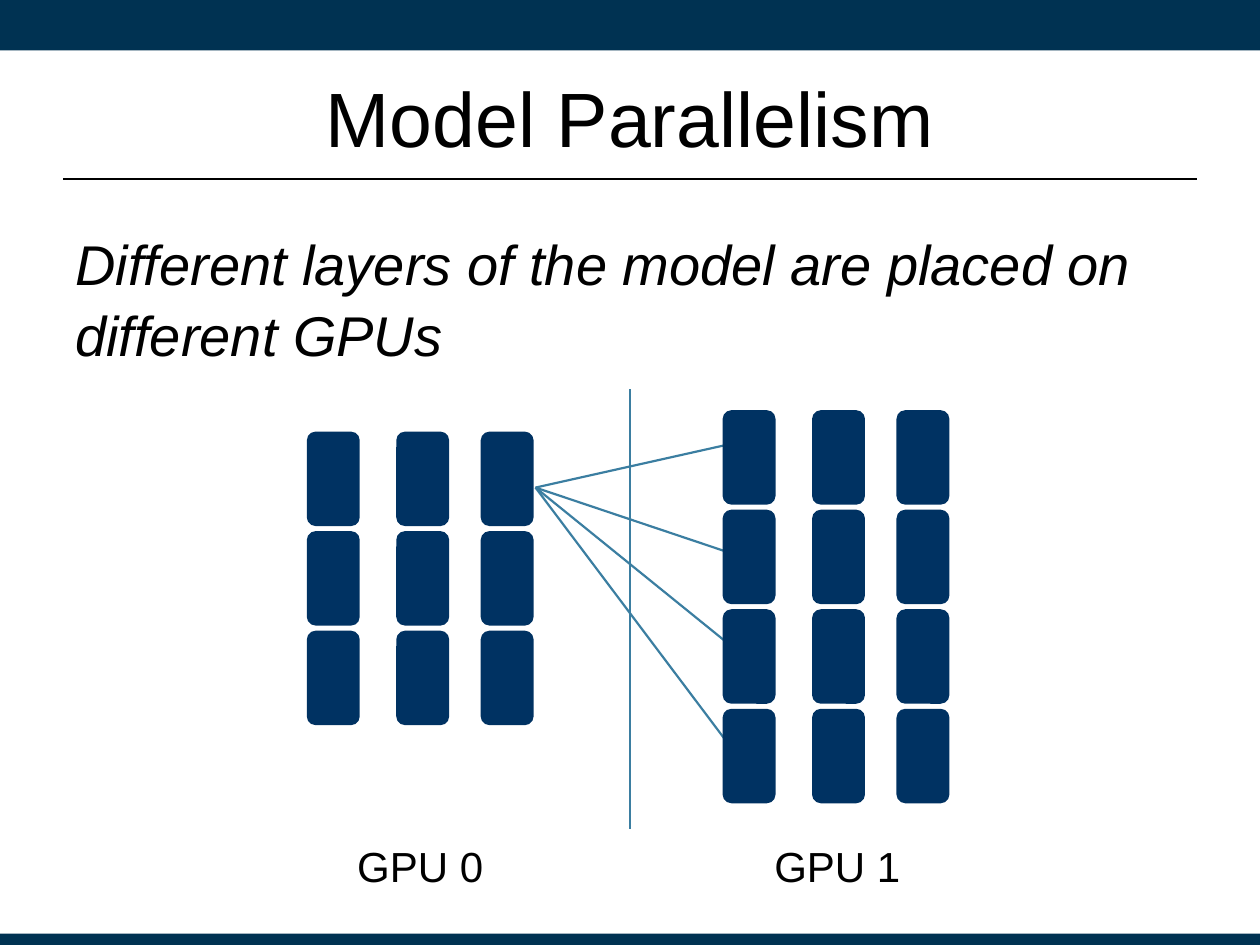
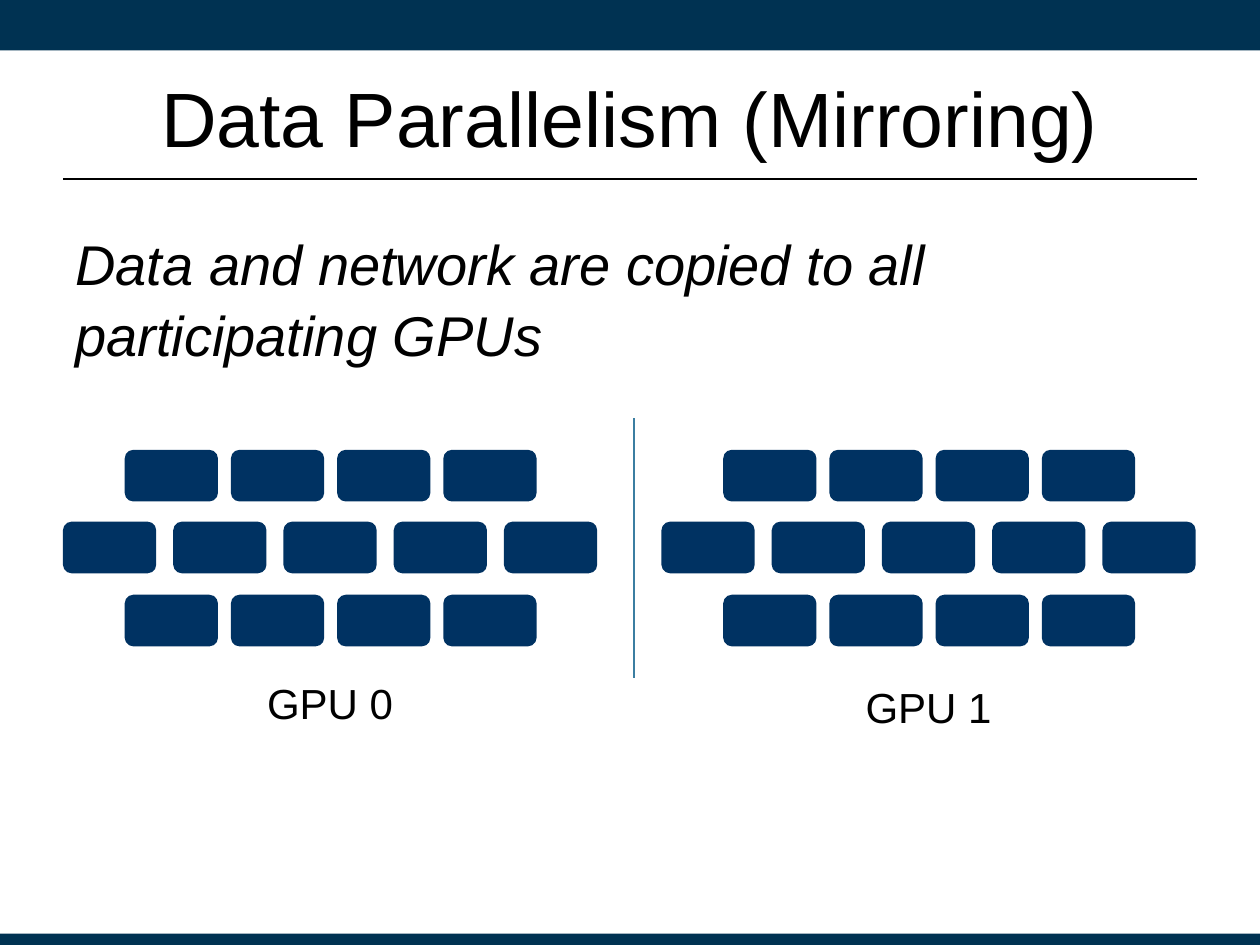
"""Build two slides comparing model parallelism with data parallelism."""
from dataclasses import dataclass

import pptx
import pptx.dml.color
import pptx.enum.shapes
import pptx.enum.text
import pptx.oxml
import pptx.oxml.ns
import pptx.util

SHAPE = pptx.enum.shapes.MSO_SHAPE
ALIGN = pptx.enum.text.PP_ALIGN
ANCHOR = pptx.enum.text.MSO_ANCHOR
COLS, ROWS = 100, 75
WIDTH, HEIGHT = pptx.util.Inches(10), pptx.util.Inches(7.5)


@dataclass(frozen=True)
class Theme:
    """Hold the colours, font and type sizes of the deck."""
    band: str = "003252"
    block: str = "003262"
    link: str = "3B7EA1"
    ink: str = "000000"
    font: str = "Arial"
    title: int = 44
    body: int = 32
    label: int = 24
    line: float = 1.25


@dataclass(frozen=True)
class Box:
    """Place an area in grid columns and rows."""
    col: float
    row: float
    cols: float
    rows: float


@dataclass(frozen=True)
class TextStyle:
    """Describe how a text box is set."""
    size: int
    align: ALIGN = ALIGN.LEFT
    anchor: ANCHOR = ANCHOR.TOP
    italic: bool = False
    spacing: float = 1.0
    top_inset: float = 0.05


@dataclass(frozen=True)
class BlockRow:
    """Describe evenly spaced blocks in one row."""
    col: float
    row: float
    pitch: float
    count: int


THEME = Theme()
TITLE = TextStyle(THEME.title, ALIGN.CENTER, ANCHOR.MIDDLE, top_inset=0.15)
BODY = TextStyle(THEME.body, italic=True, spacing=1.05)
LABEL = TextStyle(THEME.label, ALIGN.CENTER, spacing=1.1)

LAYER_COLS = (0, 7.1, 13.8)
LAYER_PITCH = 7.9
MIRROR_ROWS = (
    BlockRow(4.9, 35.7, 8.43, 4),
    BlockRow(0, 41.4, 8.75, 5),
    BlockRow(4.9, 47.2, 8.43, 4),
)


def x(col: float) -> int:
    """Convert grid columns to a length."""
    return round(col * WIDTH / COLS)


def y(row: float) -> int:
    """Convert grid rows to a length."""
    return round(row * HEIGHT / ROWS)


def add_box(s, kind: SHAPE, box: Box, colour: str, rotation: float = 0) -> None:
    """Draw a filled shape without an outline."""
    sp = s.shapes.add_shape(kind, x(box.col), y(box.row), x(box.cols), y(box.rows))
    sp.shadow.inherit = False
    sp.fill.solid()
    sp.fill.fore_color.rgb = pptx.dml.color.RGBColor.from_string(colour)
    sp.line.fill.background()
    sp.rotation = rotation


def add_line(s, start: tuple[float, float], end: tuple[float, float], colour: str) -> None:
    """Draw a straight line between two grid points."""
    ln = s.shapes.add_connector(
        pptx.enum.shapes.MSO_CONNECTOR.STRAIGHT, x(start[0]), y(start[1]), x(end[0]), y(end[1]))
    ln.line.color.rgb = pptx.dml.color.RGBColor.from_string(colour)
    ln.line.width = pptx.util.Pt(THEME.line)
    effects = pptx.oxml.parse_xml(f"<a:effectLst {pptx.oxml.ns.nsdecls('a')}/>")
    ln._element.spPr.append(effects)


def add_text(s, text: str, box: Box, style: TextStyle) -> None:
    """Write one styled paragraph."""
    sp = s.shapes.add_textbox(x(box.col), y(box.row), x(box.cols), y(box.rows))
    tf = sp.text_frame
    tf.word_wrap = True
    tf.vertical_anchor = style.anchor
    tf.margin_top = pptx.util.Inches(style.top_inset)
    tf.text = text
    p = tf.paragraphs[0]
    p.alignment = style.align
    p.line_spacing = style.spacing
    for r in p.runs:
        r.font.name = THEME.font
        r.font.size = pptx.util.Pt(style.size)
        r.font.italic = style.italic
        r.font.color.rgb = pptx.dml.color.RGBColor.from_string(THEME.ink)


def add_slide(prs, title: str, body: str):
    """Add a slide with bands, title rule, title and statement."""
    s = prs.slides.add_slide(prs.slide_layouts[6])
    add_box(s, SHAPE.RECTANGLE, Box(0, 0, COLS, 4), THEME.band)
    add_box(s, SHAPE.RECTANGLE, Box(0, 74.1, COLS, 0.9), THEME.band)
    add_line(s, (5, 14.2), (95, 14.2), THEME.ink)
    add_text(s, title, Box(5, 2.5, 90, 12.5), TITLE)
    add_text(s, body, Box(5, 17.5, 90, 12), BODY)
    return s


def add_layers(s, col: float, row: float, count: int) -> None:
    """Draw the upright blocks of three layers."""
    for offset in LAYER_COLS:
        for i in range(count):
            box = Box(col + offset, row + i * LAYER_PITCH, 7.5, 4.2)
            add_box(s, SHAPE.ROUNDED_RECTANGLE, box, THEME.block, 270)


def add_mirror(s, col: float) -> None:
    """Draw one full copy of the network."""
    for line in MIRROR_ROWS:
        for i in range(line.count):
            box = Box(col + line.col + i * line.pitch, line.row, 7.4, 4.1)
            add_box(s, SHAPE.ROUNDED_RECTANGLE, box, THEME.block)


def model_slide(prs) -> None:
    """Show layers split across two GPUs."""
    s = add_slide(prs, "Model Parallelism",
                  "Different layers of the model are placed on different GPUs")
    for row in (35.3, 43.8, 51, 58.9):
        add_line(s, (42.5, 38.7), (57.7, row), THEME.link)
    add_layers(s, 22.7, 35.9, 3)
    add_layers(s, 55.7, 34.2, 4)
    add_line(s, (50, 30.9), (50, 65.8), THEME.link)
    for i, col in enumerate((24.4, 57.5)):
        add_text(s, f"GPU {i}", Box(col, 65.8, 17.9, 5), LABEL)


def data_slide(prs) -> None:
    """Show the network mirrored on two GPUs."""
    s = add_slide(prs, "Data Parallelism (Mirroring)",
                  "Data and network are copied to all participating GPUs")
    add_line(s, (50.3, 33.2), (50.3, 53.8), THEME.link)
    for i, (col, row) in enumerate(((5, 52.9), (52.5, 53.2))):
        add_mirror(s, col)
        add_text(s, f"GPU {i}", Box(col, row, 42.4, 5.2), LABEL)


def main() -> None:
    """Build and save the deck."""
    prs = pptx.Presentation()
    prs.slide_width, prs.slide_height = WIDTH, HEIGHT
    model_slide(prs)
    data_slide(prs)
    prs.save("out.pptx")


if __name__ == "__main__":
    main()
